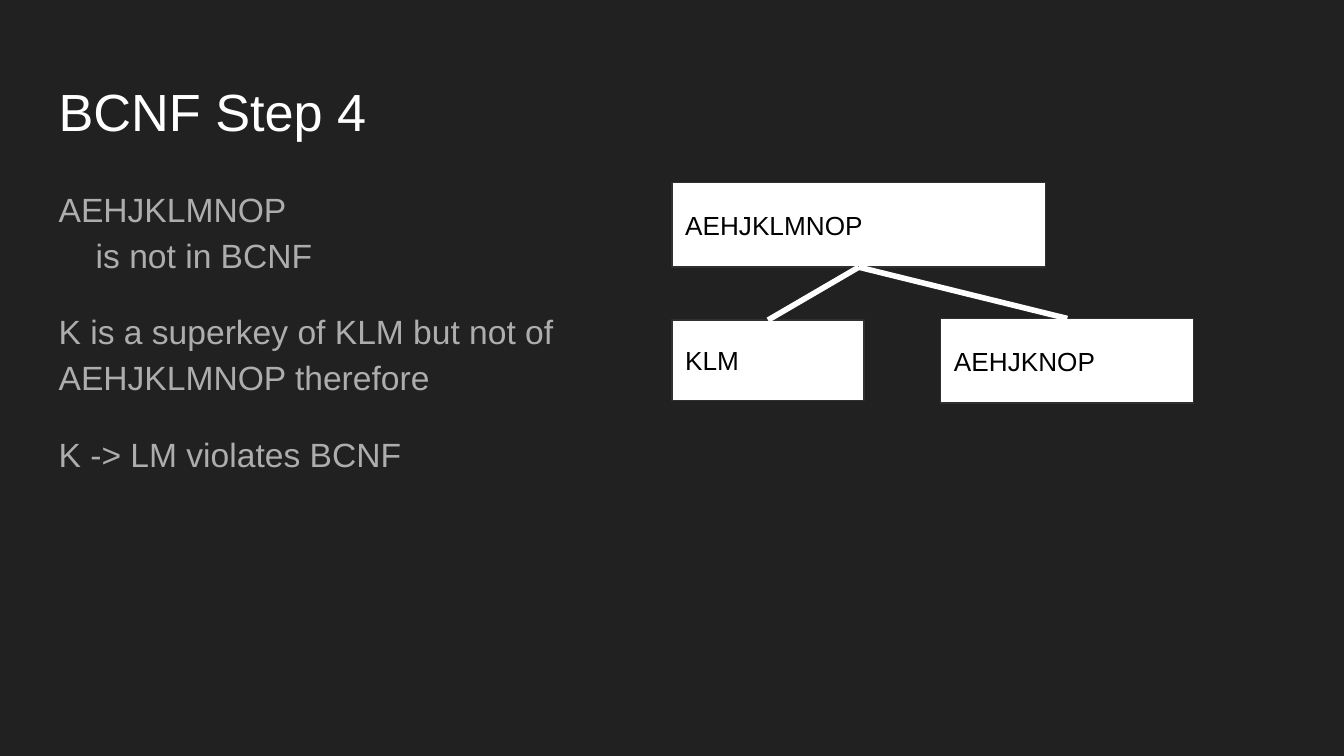
from pptx import Presentation
from pptx.dml.color import RGBColor
from pptx.enum.shapes import MSO_CONNECTOR, MSO_SHAPE
from pptx.enum.text import MSO_ANCHOR, MSO_AUTO_SIZE, PP_ALIGN
from pptx.oxml.ns import qn
from pptx.util import Cm, Pt
from lxml.etree import SubElement

COLORS = {
    "background": "212121",
    "white": "FFFFFF",
    "body": "ADADAD",
    "outline": "303030",
    "black": "000000",
}
TOP_SITE, BOTTOM_SITE = 0, 2


def color(name):
    return RGBColor.from_string(COLORS[name])


def write_paragraph(paragraph, text, *, size, fill, font="Arial",
                    spacing=1.0, after=0, hanging=0):
    """Fill a paragraph; hanging (cm) indents every line but the first."""
    paragraph.text = text
    paragraph.alignment = PP_ALIGN.LEFT
    paragraph.line_spacing = spacing
    paragraph.space_before = Pt(0)
    paragraph.space_after = Pt(after)
    if hanging:
        properties = paragraph._p.get_or_add_pPr()
        properties.set("marL", str(Cm(hanging)))
        properties.set("indent", str(-Cm(hanging)))
    for run in paragraph.runs:
        run.font.name = font
        run.font.size = Pt(size)
        run.font.color.rgb = color(fill)


class SlideBuilder:
    def __init__(self, slide, inset=0.25):
        self.slide = slide
        self.inset = Cm(inset)
        slide.background.fill.solid()
        slide.background.fill.fore_color.rgb = color("background")

    def prepare_frame(self, frame, anchor):
        frame.word_wrap = True
        frame.auto_size = MSO_AUTO_SIZE.NONE
        frame.vertical_anchor = anchor
        frame.margin_left = frame.margin_right = self.inset
        frame.margin_top = frame.margin_bottom = self.inset

    def title(self, text, left, top, width, height):
        heading = self.slide.shapes.title
        heading.left, heading.top = Cm(left), Cm(top)
        heading.width, heading.height = Cm(width), Cm(height)
        self.prepare_frame(heading.text_frame, MSO_ANCHOR.TOP)
        write_paragraph(heading.text_frame.paragraphs[0], text,
                        size=28, fill="white")

    def explanation(self, statements, left, top, width, height):
        """Add the body text from (text, hanging indent) pairs."""
        body = self.slide.shapes.add_textbox(
            Cm(left), Cm(top), Cm(width), Cm(height))
        frame = body.text_frame
        self.prepare_frame(frame, MSO_ANCHOR.TOP)
        for index, (text, hanging) in enumerate(statements):
            paragraph = frame.add_paragraph() if index else frame.paragraphs[0]
            write_paragraph(paragraph, text, size=18, fill="body",
                            spacing=1.15, after=16, hanging=hanging)

    def relation(self, attributes, left, top, width, height):
        box = self.slide.shapes.add_shape(
            MSO_SHAPE.RECTANGLE, Cm(left), Cm(top), Cm(width), Cm(height))
        box.shadow.inherit = False
        box.fill.solid()
        box.fill.fore_color.rgb = color("white")
        box.line.color.rgb = color("outline")
        box.line.width = Pt(0.75)
        self.prepare_frame(box.text_frame, MSO_ANCHOR.MIDDLE)
        write_paragraph(box.text_frame.paragraphs[0], attributes,
                        size=14, fill="black")
        return box

    def branch(self, parent, child):
        """Join the bottom of a relation to the top of one it splits into."""
        edge = self.slide.shapes.add_connector(
            MSO_CONNECTOR.STRAIGHT, 0, 0, 0, 0)
        edge.begin_connect(parent, BOTTOM_SITE)
        edge.end_connect(child, TOP_SITE)
        edge.line.color.rgb = color("white")
        edge.line.width = Pt(3)
        SubElement(edge._element.spPr, qn("a:effectLst"))


def main():
    deck = Presentation()
    deck.slide_width, deck.slide_height = Cm(25.4), Cm(14.29)
    builder = SlideBuilder(deck.slides.add_slide(deck.slide_layouts[5]))

    builder.title("BCNF Step 4", 0.86, 1.24, 23.67, 1.6)
    builder.explanation([
        ("AEHJKLMNOP\vis not in BCNF", 0.7),
        ("K is a superkey of KLM but not of AEHJKLMNOP therefore", 0),
        ("K -> LM violates BCNF", 0),
    ], 0.86, 3.2, 10.41, 9.5)

    whole = builder.relation("AEHJKLMNOP", 12.7, 3.45, 7.06, 1.6)
    parts = [
        builder.relation("KLM", 12.7, 6.05, 3.63, 1.52),
        builder.relation("AEHJKNOP", 17.78, 6.02, 4.78, 1.6),
    ]
    for part in parts:
        builder.branch(whole, part)

    deck.save("out.pptx")


if __name__ == "__main__":
    main()
